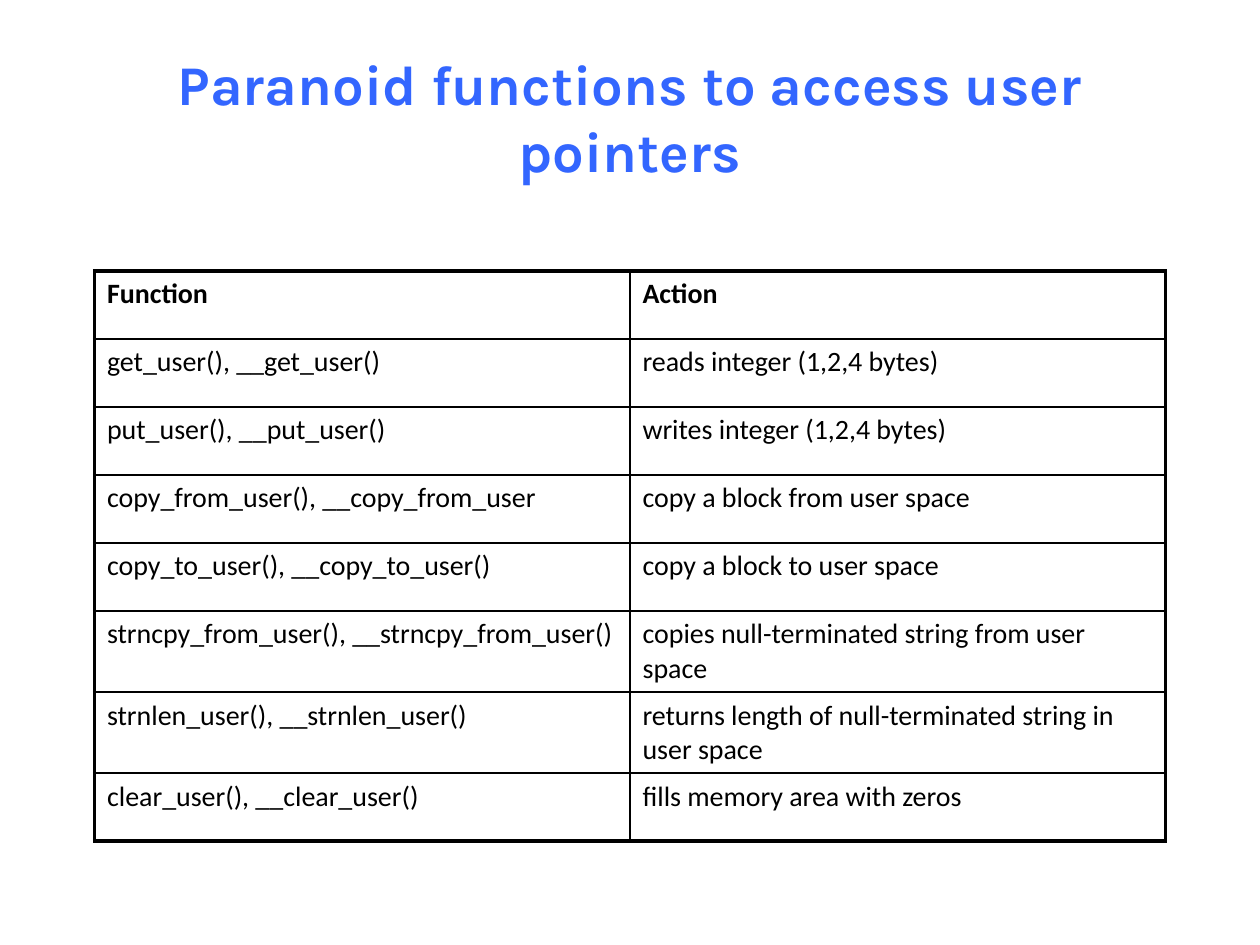
from lxml import etree
from pptx import Presentation
from pptx.dml.color import RGBColor
from pptx.enum.text import MSO_ANCHOR, MSO_AUTO_SIZE, PP_ALIGN
from pptx.oxml.ns import qn
from pptx.util import Emu, Pt

CENTER = PP_ALIGN.CENTER
MIDDLE = MSO_ANCHOR.MIDDLE
NO_AUTOFIT = MSO_AUTO_SIZE.NONE
TITLE_ONLY = 5

ROWS = [
    ("Function", "Action"),
    ("get_user(), __get_user()", "reads integer (1,2,4 bytes)"),
    ("put_user(), __put_user()", "writes integer (1,2,4 bytes)"),
    ("copy_from_user(), __copy_from_user", "copy a block from user space"),
    ("copy_to_user(), __copy_to_user()", "copy a block to user space"),
    ("strncpy_from_user(), __strncpy_from_user()",
     "copies null-terminated string from user space"),
    ("strnlen_user(), __strnlen_user()",
     "returns length of null-terminated string in user space"),
    ("clear_user(), __clear_user()", "fills memory area with zeros"),
]
ROW_HEIGHTS = [54, 54, 54, 54, 54, 63, 63, 54]


def px(n):
    return Emu(n * 9144)


def rgb(color):
    return RGBColor.from_string(color)


class Deck:
    title_font, title_size, title_color = "Karla", 32, "3366FF"
    body_font, body_size, ink = "Calibri", 16, "000000"
    outer_line, inner_line = 2.25, 1

    def __init__(self, width, height):
        self.prs = Presentation()
        self.prs.slide_width, self.prs.slide_height = px(width), px(height)
        self.slide = self.prs.slides.add_slide(self.prs.slide_layouts[TITLE_ONLY])

    def style(self, p, name, size, color, bold):
        p.font.name, p.font.size, p.font.bold = name, Pt(size), bold
        p.font.color.rgb = rgb(color)

    def title(self, text, x, y, w, h):
        sp = self.slide.shapes.title
        sp.left, sp.top, sp.width, sp.height = map(px, (x, y, w, h))
        tf = sp.text_frame
        tf.text = text
        tf.auto_size, tf.word_wrap, tf.vertical_anchor = NO_AUTOFIT, True, MIDDLE
        p = tf.paragraphs[0]
        p.alignment = CENTER
        self.style(p, self.title_font, self.title_size, self.title_color, True)

    def borders(self, cell, edges):
        tc_pr = cell._tc.get_or_add_tcPr()
        for i, (side, outer) in enumerate(edges.items()):
            width = Pt(self.outer_line if outer else self.inner_line)
            ln = etree.Element(qn(f"a:ln{side}"), w=str(width))
            fill = etree.SubElement(ln, qn("a:solidFill"))
            etree.SubElement(fill, qn("a:srgbClr"), val=self.ink)
            tc_pr.insert(i, ln)

    def table(self, rows, heights, x, y, w):
        n, m = len(rows), len(rows[0])
        frame = self.slide.shapes.add_table(n, m, px(x), px(y), px(w), px(sum(heights)))
        table = frame.table
        table.first_row = table.horz_banding = False
        for row, height in zip(table.rows, heights):
            row.height = px(height)
        for r, texts in enumerate(rows):
            for c, text in enumerate(texts):
                cell = table.cell(r, c)
                cell.text = text
                cell.fill.background()
                p = cell.text_frame.paragraphs[0]
                self.style(p, self.body_font, self.body_size, self.ink, r == 0)
                self.borders(cell, {"L": c == 0, "R": c == m - 1,
                                    "T": r == 0, "B": r == n - 1})


def main():
    deck = Deck(1000, 750)
    deck.title("Paranoid functions to access user pointers", 50, 30, 900, 125)
    deck.table(ROWS, ROW_HEIGHTS, 75, 215, 850)
    deck.prs.save("out.pptx")


if __name__ == "__main__":
    main()
